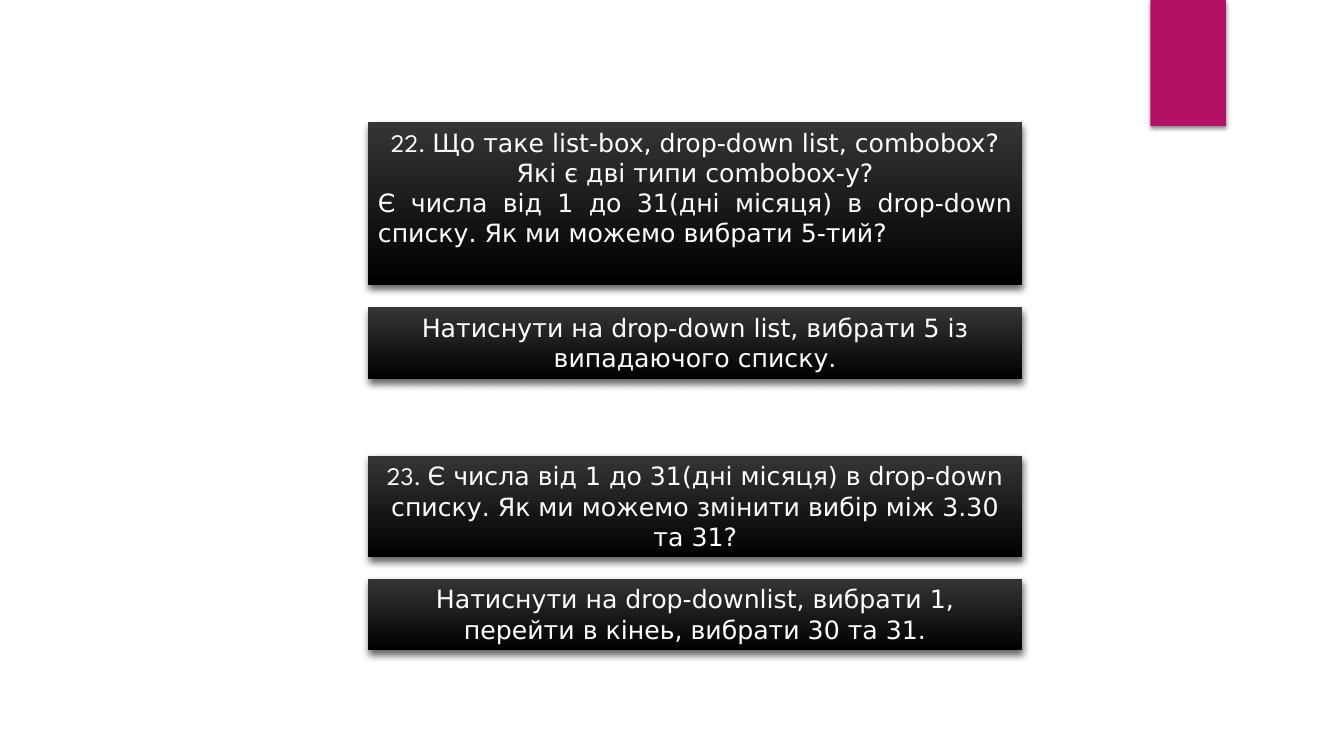
from lxml.etree import SubElement
from pptx import Presentation
from pptx.dml.color import RGBColor
from pptx.enum.shapes import MSO_SHAPE
from pptx.enum.text import MSO_ANCHOR, PP_ALIGN
from pptx.oxml.ns import qn
from pptx.util import Inches, Pt

COLORS = {"accent": "B31166", "top": "353535", "bottom": "000000",
          "text": "FFFFFF", "shadow": "000000"}
NUMBER_FONT, BODY_FONT = "League Spartan", "DejaVu Sans"
COLUMN_LEFT, COLUMN_WIDTH = 3.65, 6.49


def add_block(left, top, width, height, opacity, blur, distance):
    """Add an outline-free rectangle with a shadow falling straight down."""
    block = page.shapes.add_shape(MSO_SHAPE.RECTANGLE, Inches(left), Inches(top),
                                  Inches(width), Inches(height))
    block.line.fill.background()
    block.shadow.inherit = False
    effects = block._element.spPr.find(qn("a:effectLst"))
    shadow = SubElement(effects, qn("a:outerShdw"), blurRad=str(Pt(blur)),
                        dist=str(Pt(distance)), dir="5400000", rotWithShape="0")
    color = SubElement(shadow, qn("a:srgbClr"), val=COLORS["shadow"])
    SubElement(color, qn("a:alpha"), val=str(opacity * 1000))
    return block


def add_span(para, text, font=BODY_FONT, size=18):
    span = para.add_run()
    span.text = text
    span.font.name = font
    span.font.size = Pt(size)
    span.font.color.rgb = RGBColor.from_string(COLORS["text"])


deck = Presentation()
deck.slide_width, deck.slide_height = Inches(13.33), Inches(7.5)
page = deck.slides.add_slide(deck.slide_layouts[6])

ribbon = add_block(11.41, 0, 0.75, 1.25, opacity=45, blur=3, distance=2)
ribbon.fill.solid()
ribbon.fill.fore_color.rgb = RGBColor.from_string(COLORS["accent"])

# Top, height, question number, paragraphs
cards = [
    (1.21, 1.62, "22. ",
     ["Що таке list-box, drop-down list, combobox? Які є дві типи combobox-у?",
      "Є числа від 1 до 31(дні місяця) в drop-down списку. Як ми можемо вибрати 5-тий?"]),
    (3.05, 0.71, "",
     ["Натиснути на drop-down list, вибрати 5 із випадаючого списку."]),
    (4.52, 1.01, "23. ",
     ["Є числа від 1 до 31(дні місяця) в drop-down списку. "
      "Як ми можемо змінити вибір між 3.30 та 31?"]),
    (5.74, 0.71, "",
     ["Натиснути на drop-downlist, вибрати 1, перейти в кінеь, вибрати 30 та 31."]),
]

for top, height, number, paragraphs in cards:
    card = add_block(COLUMN_LEFT, top, COLUMN_WIDTH, height,
                     opacity=60, blur=5, distance=3)
    card.fill.gradient()
    card.fill.gradient_angle = 270
    for stop, shade in zip(card.fill.gradient_stops, ("top", "bottom")):
        stop.color.rgb = RGBColor.from_string(COLORS[shade])

    frame = card.text_frame
    frame.word_wrap = True
    frame.vertical_anchor = MSO_ANCHOR.TOP
    for index, text in enumerate(paragraphs):
        para = frame.add_paragraph() if index else frame.paragraphs[0]
        para.alignment = PP_ALIGN.JUSTIFY if index else PP_ALIGN.CENTER
        if number and index == 0:
            add_span(para, number, font=NUMBER_FONT)
        add_span(para, text)

deck.save("out.pptx")
